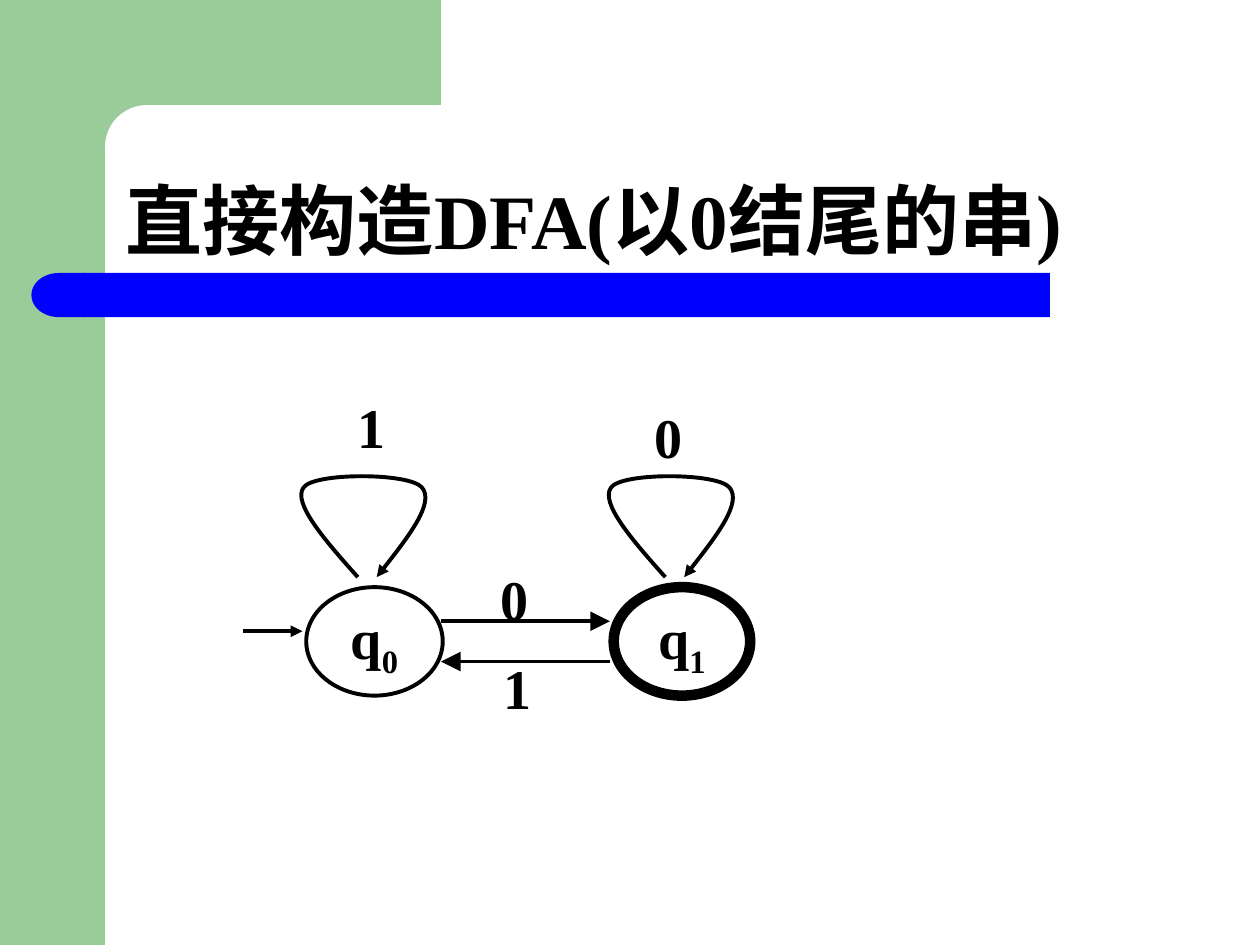
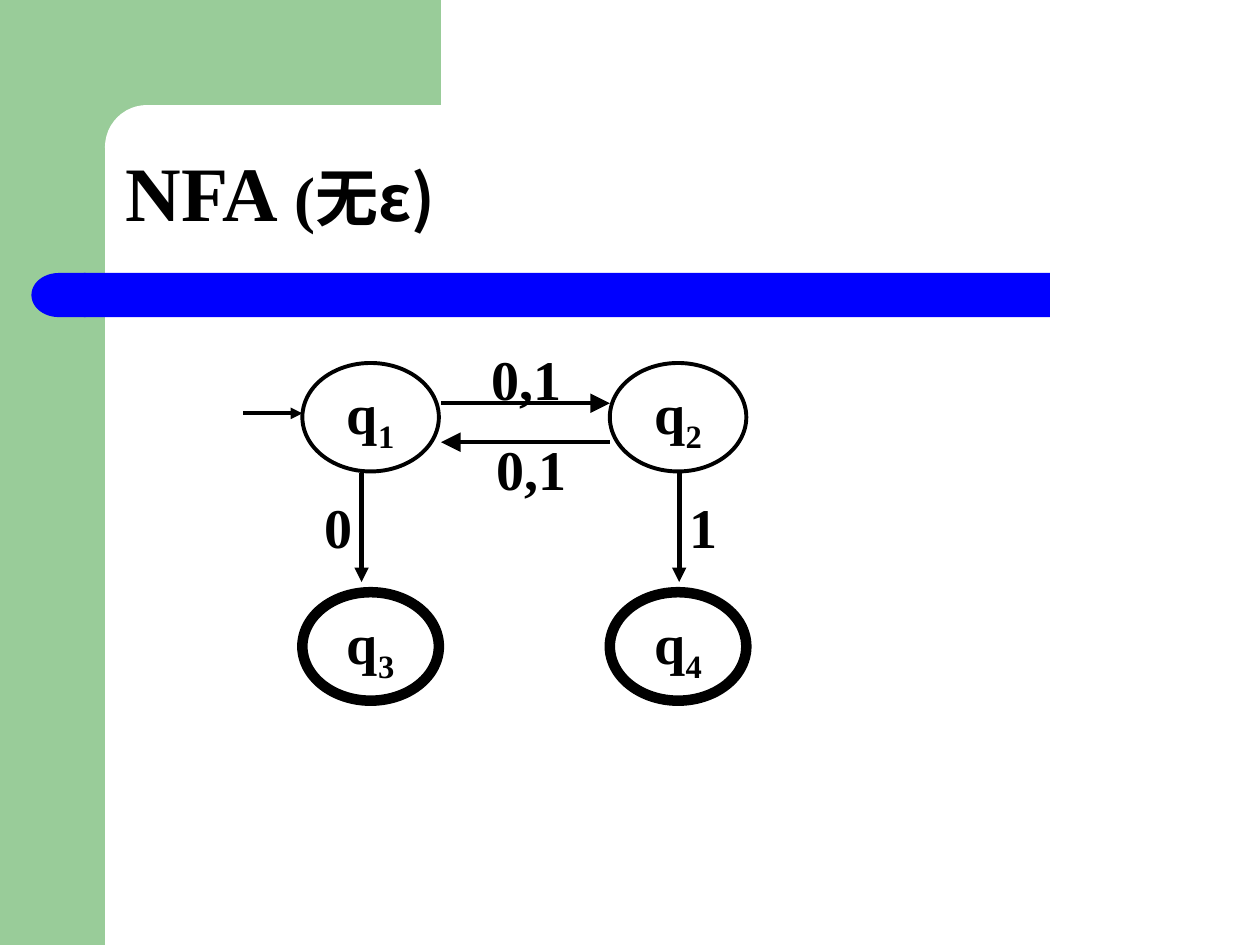
import pptx
import pptx.util
import pptx.dml.color
import pptx.enum.shapes
import pptx.enum.text
import pptx.oxml
import pptx.oxml.ns

Pt = pptx.util.Pt
RGB = pptx.dml.color.RGBColor
SHAPE = pptx.enum.shapes.MSO_SHAPE
CONNECTOR = pptx.enum.shapes.MSO_CONNECTOR
ALIGN = pptx.enum.text.PP_ALIGN
ANCHOR = pptx.enum.text.MSO_ANCHOR
FIT = pptx.enum.text.MSO_AUTO_SIZE
qn = pptx.oxml.ns.qn

THEME = {
    "ink": RGB(0, 0, 0),
    "green": RGB(0x99, 0xCC, 0x99),
    "white": RGB(255, 255, 255),
    "blue": RGB(0, 0, 255),
    "latin": "Times New Roman",
    "cjk": "Noto Sans CJK SC",
    "title": 44,
    "subtitle": 36,
    "body": 32,
    "thin": 2.25,
    "medium": 2.75,
    "thick": 6,
}

BACKDROP = [
    (SHAPE.RECTANGLE, (0, 0, 60, 540), "green", None),
    (SHAPE.RECTANGLE, (54, 0, 198, 84), "green", None),
    (SHAPE.ROUNDED_RECTANGLE, (60, 60, 402, 48), "white", 0.5),
    (SHAPE.ROUNDED_RECTANGLE, (48, 156, 552, 25.2), "blue", 0),
    (SHAPE.FLOWCHART_DELAY, (18, 156, 31, 25.2), "blue", None),
]

STATE_SIZE = (78, 62)
COLUMN_STEP = 175.7
LABEL_HEIGHT = 38
LOOP = [
    (204.5, 329.8), (185.8, 308.9), (167, 287.3), (173.5, 278.6), (179.3, 270),
    (234, 270), (241.2, 278.6), (248.4, 287.3), (231.8, 308.9), (215.3, 329.8),
]

SLIDES = [
    {
        "title": [("直接构造DFA(以0结尾的串)", "title", "latin")],
        "title_top": 65.5,
        "loops": [0, COLUMN_STEP],
        "states": [
            (175, 335.5, "0", "thin"),
            (175 + COLUMN_STEP, 335.5, "1", "thick"),
        ],
        "arrows": [
            (252, 355, 348.5, 355, "thin", "lg"),
            (348.5, 378, 252, 378, "thin", "lg"),
            (139, 360.7, 172.8, 360.7, "thin", "med"),
        ],
        "labels": [
            (172.8, 224.6, 79, "1"),
            (342.7, 230.4, 79, "0"),
            (285, 322.6, 18, "0"),
            (286.5, 373.7, 18, "1"),
        ],
    },
    {
        "title": [("NFA", "title", "latin"), (" (无", "subtitle", "latin"), ("ε)", "subtitle", "cjk")],
        "title_top": 49.7,
        "loops": [],
        "states": [
            (172.8, 207.4, "1", "thin"),
            (172.8 + COLUMN_STEP, 207.4, "2", "thin"),
            (172.8, 338.4, "3", "thick"),
            (172.8 + COLUMN_STEP, 338.4, "4", "thick"),
        ],
        "arrows": [
            (252, 230.4, 348.5, 230.4, "thin", "lg"),
            (348.5, 252.7, 252, 252.7, "thin", "lg"),
            (139, 236.2, 172.8, 236.2, "thin", "med"),
            (206.6, 270, 206.6, 332.6, "medium", "med"),
            (388.1, 270, 388.1, 332.6, "medium", "med"),
        ],
        "labels": [
            (275, 197.3, 52, "0,1"),
            (280.5, 248.4, 46, "0,1"),
            (184.3, 281.5, 18, "0"),
            (393.1, 281.5, 18, "1"),
        ],
    },
]


def write(box, spans, frame_format, para_format):
    frame = box.text_frame
    for name, value in frame_format.items():
        setattr(frame, name, value)
    para = frame.paragraphs[0]
    for name, value in para_format.items():
        setattr(para, name, value)
    for text, size, face in spans:
        span = para.add_run()
        span.text = text
        font_format = {"size": Pt(THEME[size]), "bold": True, "name": THEME[face]}
        for name, value in font_format.items():
            setattr(span.font, name, value)
        span.font.color.rgb = THEME["ink"]
        east_asian = pptx.oxml.parse_xml(
            f'<a:ea {pptx.oxml.ns.nsdecls("a")} typeface="{THEME["cjk"]}"/>'
        )
        span.font._element.find(qn("a:latin")).addnext(east_asian)
    return para


def draw_line(item, weight, head=None):
    item.line.color.rgb = THEME["ink"]
    item.line.width = Pt(THEME[weight])
    if head:
        tail = item.line._get_or_add_ln().makeelement(
            qn("a:tailEnd"), {"type": "triangle", "w": head, "len": head}
        )
        item.line._get_or_add_ln().append(tail)


deck = pptx.Presentation()
deck.slide_width, deck.slide_height = Pt(720), Pt(540)
no_insets = dict.fromkeys(["margin_left", "margin_top", "margin_right", "margin_bottom"], 0)

for content in SLIDES:
    page = deck.slides.add_slide(deck.slide_layouts[6])

    for kind, place, colour, rounding in BACKDROP:
        panel = page.shapes.add_shape(kind, *map(Pt, place))
        panel.shadow.inherit = False
        panel.fill.solid()
        panel.fill.fore_color.rgb = THEME[colour]
        panel.line.fill.background()
        if rounding is not None:
            panel.adjustments[0] = rounding
        if kind == SHAPE.FLOWCHART_DELAY:
            panel._element.spPr.find(qn("a:xfrm")).set("flipH", "1")

    title = page.shapes.add_textbox(Pt(64.8), Pt(content["title_top"]), Pt(630), Pt(90))
    write(title, content["title"],
          {"word_wrap": True, "vertical_anchor": ANCHOR.BOTTOM},
          {"line_spacing": 0.9})

    for shift in content["loops"]:
        points = [(Pt(x + shift), Pt(y)) for x, y in LOOP]
        builder = page.shapes.build_freeform(*points[0])
        builder.add_line_segments(points[1:], close=False)
        loop = builder.convert_to_shape()
        loop.shadow.inherit = False
        loop.fill.background()
        draw_line(loop, "thin", "med")
        outline = next(loop._element.iter(qn("a:path")))
        segments = outline.findall(qn("a:lnTo"))
        for first in range(0, len(segments), 3):
            curve = outline.makeelement(qn("a:cubicBezTo"), {})
            outline.append(curve)
            for segment in segments[first:first + 3]:
                curve.append(segment[0])
                outline.remove(segment)

    for left, top, index, weight in content["states"]:
        state = page.shapes.add_shape(SHAPE.OVAL, Pt(left), Pt(top), *map(Pt, STATE_SIZE))
        state.shadow.inherit = False
        state.fill.background()
        draw_line(state, weight)
        para = write(state, [("q", "body", "latin"), (index, "body", "latin")],
                     {"word_wrap": False, "vertical_anchor": ANCHOR.MIDDLE},
                     {"alignment": ALIGN.CENTER})
        para.runs[1].font._element.set("baseline", "-25000")

    for *ends, weight, head in content["arrows"]:
        arrow = page.shapes.add_connector(CONNECTOR.STRAIGHT, *map(Pt, ends))
        draw_line(arrow, weight, head)
        properties = arrow._element.spPr
        properties.append(properties.makeelement(qn("a:effectLst"), {}))

    for left, top, width, text in content["labels"]:
        label = page.shapes.add_textbox(Pt(left), Pt(top), Pt(width), Pt(LABEL_HEIGHT))
        write(label, [(text, "body", "latin")],
              {"word_wrap": True, "vertical_anchor": ANCHOR.MIDDLE,
               "auto_size": FIT.SHAPE_TO_FIT_TEXT, **no_insets},
              {"alignment": ALIGN.CENTER})

deck.save("out.pptx")
